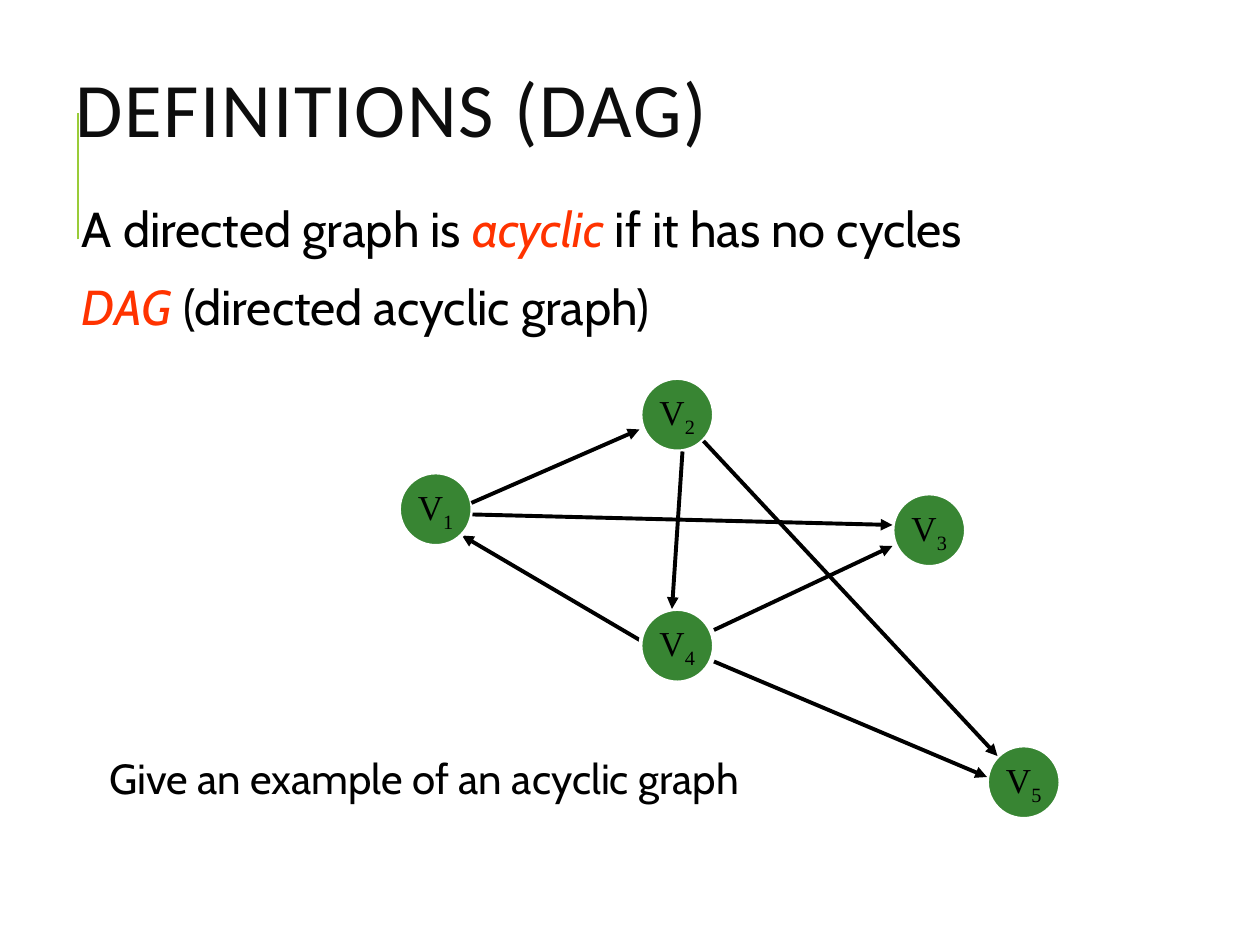
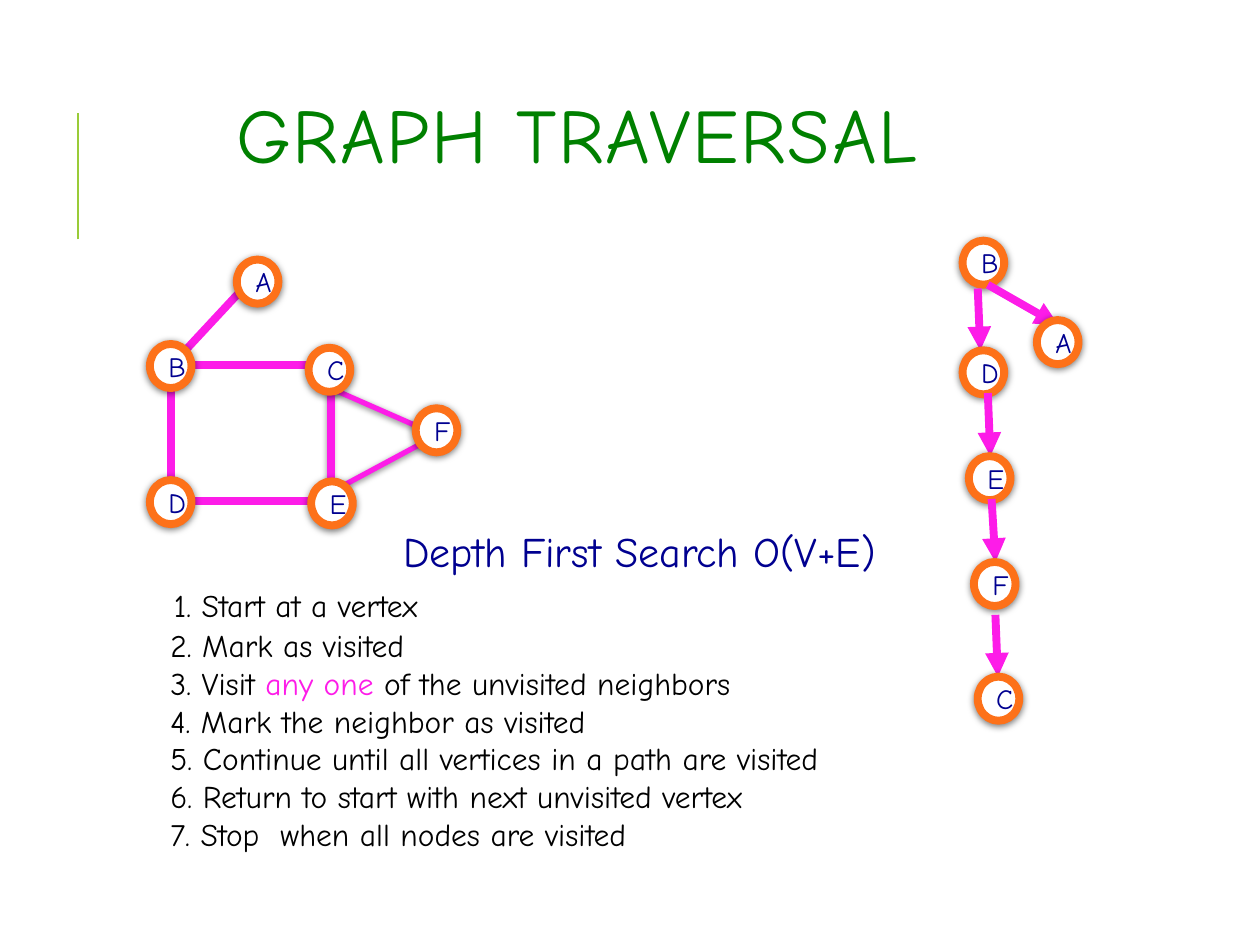
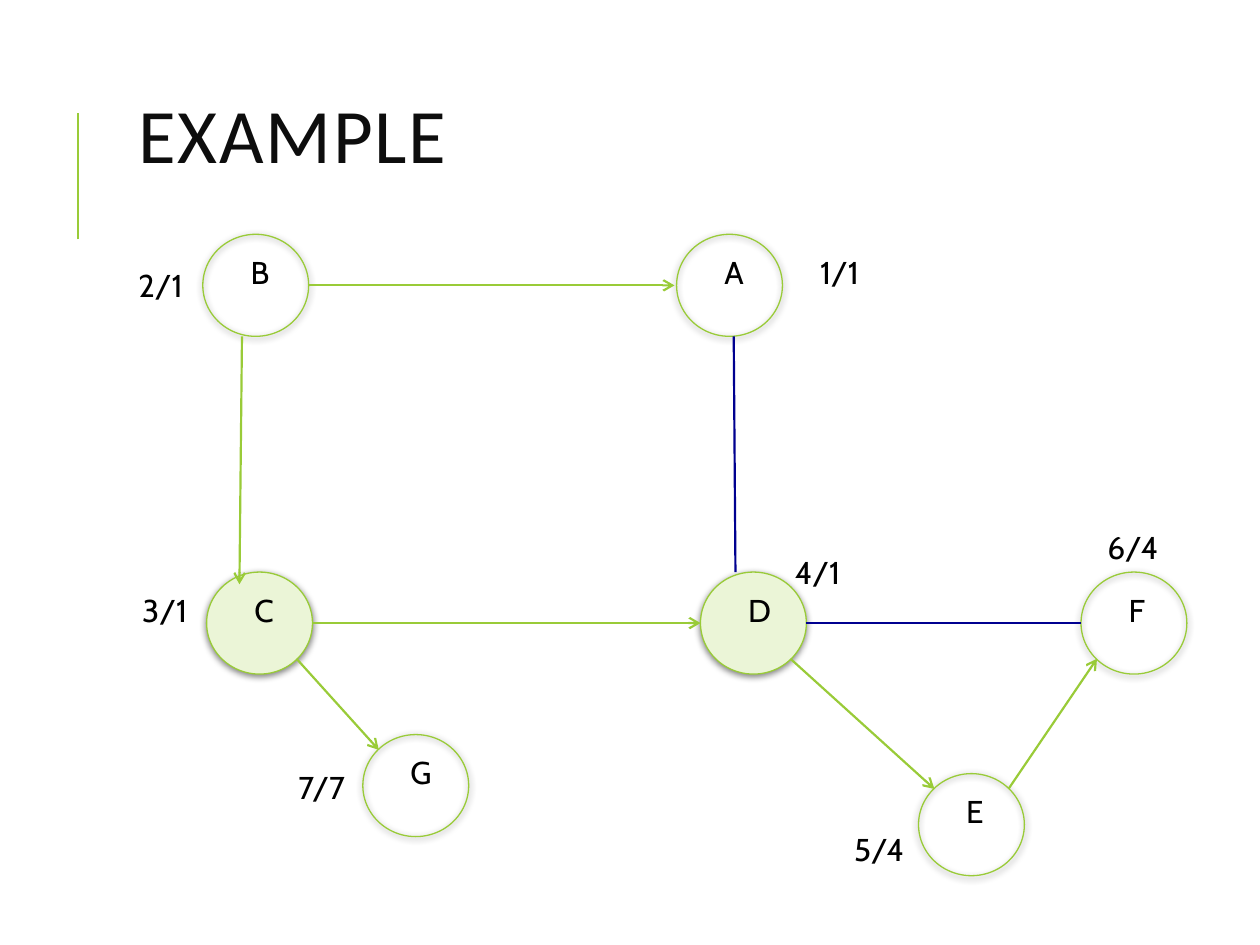
from lxml.etree import SubElement
from pptx import Presentation
from pptx.dml.color import RGBColor
from pptx.enum.shapes import MSO_CONNECTOR, MSO_SHAPE as Shape
from pptx.enum.text import MSO_ANCHOR as Anchor, PP_ALIGN as Align
from pptx.oxml.ns import qn
from pptx.util import Inches, Pt

COLORS = {
    "accent": "99CB38", "title": "0D0D0D", "black": "000000", "white": "FFFFFF",
    "red": "FF3300", "vertex": "388533", "heading": "008000", "navy": "000090",
    "pink": "FD1CE8", "orange": "FD7119", "visited": "EBF5D7",
}
SANS, HAND, SERIF, HEAD = "Cabin", "Comic Neue", "Times New Roman", "Calibri"

# Slide 1 content: vertices and edges in twelfths of an inch
TWELFTH = 1 / 12
KEY = {"color": "red", "italic": True}
DEFINITIONS = [
    ["A directed graph is ", ("acyclic", KEY), " if it has no cycles"],
    [("DAG", KEY), " (directed acyclic graph)"],
]
VERTICES = {"1": (38, 45), "2": (61, 36), "4": (61, 58), "3": (85, 47), "5": (94, 71)}
VERTEX_SIZE = 7
BACK_EDGE = ((61, 61), (44, 51))
EDGES = [
    ((44.9, 47.9), (60.9, 40.9)), ((45, 49), (85, 50)), ((65, 43), (64, 58)),
    ((68, 60), (85, 52)), ((67, 42), (95, 72)), ((68, 63), (94, 74)),
]

# Slide 2 content: left and top of each node, in inches
NODE_SIZE = (0.33, 0.35)
GRAPH = {"C": (2.45, 2.76), "B": (1.19, 2.73), "D": (1.19, 3.81),
         "E": (2.47, 3.82), "F": (3.3, 3.24), "A": (1.88, 2.06)}
TREE_ROOT = ("B", (7.64, 1.91))
# node, its place, start and end of the arrow that leads to it
TREE = [
    ("D", (7.64, 2.78), (7.76, 2.29), (7.78, 2.78)),
    ("E", (7.69, 3.62), (7.84, 3.12), (7.86, 3.62)),
    ("F", (7.73, 4.46), (7.87, 3.96), (7.9, 4.46)),
    ("C", (7.76, 5.37), (7.9, 4.88), (7.92, 5.37)),
    ("A", (8.23, 2.54), (7.84, 2.26), (8.4, 2.58)),
]
SEARCH = "Depth First Search O(V+E)"
STEPS = [
    [(" ", {"size": 24}), "1. Start at a vertex"],
    [" 2. Mark as visited"],
    [" 3. Visit ", ("any one ", {"color": "pink"}), "of the unvisited neighbors"],
    [" 4. Mark the neighbor as visited"],
    [" 5. Continue until all vertices in a path are visited"],
    [" 6. Return to start with next unvisited vertex"],
    [" 7. Stop  when all nodes are visited"],
]

# Slide 3 content: node place, fill, score, score place
CIRCLE = (0.84, 0.81)
CIRCLES = {
    "B": ((1.61, 1.86), None, "2/1", (1, 2.06)),
    "A": ((5.37, 1.86), None, "1/1", (6.41, 1.96)),
    "C": ((1.64, 4.54), "visited", "3/1", (1.03, 4.64)),
    "D": ((5.56, 4.54), "visited", "4/1", (6.21, 4.34)),
    "F": ((8.58, 4.54), None, "6/4", (8.69, 4.14)),
    "E": ((7.29, 6.14), None, "5/4", (6.68, 6.54)),
    "G": ((2.88, 5.83), None, "7/7", (2.27, 6.05)),
}
# Points on a circle, as shares of its width and height
LEFT, RIGHT = (0, 0.5), (1, 0.5)
TOP_LEFT, TOP_RIGHT = (0.15, 0.15), (0.85, 0.15)
LOW_LEFT, LOW_RIGHT = (0.15, 0.85), (0.85, 0.85)
LINKS = [
    ("B", RIGHT, "A", (-0.02, 0.5), True),
    ("B", (0.37, 1), "C", (0.31, 0.12), True),
    ("A", (0.54, 1), "D", (0.33, 0), False),
    ("C", RIGHT, "D", LEFT, True),
    ("C", LOW_RIGHT, "G", TOP_LEFT, True),
    ("D", RIGHT, "F", LEFT, False),
    ("D", LOW_RIGHT, "E", TOP_LEFT, True),
    ("E", TOP_RIGHT, "F", LOW_LEFT, True),
]


def rgb(name):
    return RGBColor.from_string(COLORS[name])


def write(shape, paras, size=18, font=SANS, color="black", align=Align.LEFT,
          anchor=Anchor.TOP, wrap=True, inset=None, line=None, before=0, after=0,
          tracking=None):
    """Fill a shape with paragraphs; a run is a string or (string, overrides)."""
    frame = shape.text_frame
    frame.word_wrap, frame.vertical_anchor = wrap, anchor
    if inset:
        (frame.margin_left, frame.margin_top,
         frame.margin_right, frame.margin_bottom) = map(Inches, inset)
    for index, runs in enumerate(paras):
        para = frame.paragraphs[0] if index == 0 else frame.add_paragraph()
        para.alignment = align
        para.space_before, para.space_after = Pt(before), Pt(after)
        if line:
            para.line_spacing = line
        for run in runs:
            text, own = (run, {}) if isinstance(run, str) else run
            span = para.add_run()
            span.text = text
            span.font.name = font
            span.font.size = Pt(own.get("size", size))
            span.font.color.rgb = rgb(own.get("color", color))
            span.font.italic = own.get("italic", False)
            props = span.font._element
            if tracking:
                props.set("spc", str(tracking))
            if "baseline" in own:
                props.set("baseline", str(own["baseline"]))


def add_text(page, at, paras, **style):
    box = page.shapes.add_textbox(*map(Inches, at))
    write(box, paras, **style)


def add_outline(page, kind, at, color, width, fill=None, shadow=False):
    shape = page.shapes.add_shape(kind, *map(Inches, at))
    shape.shadow.inherit = False
    if fill:
        shape.fill.solid()
        shape.fill.fore_color.rgb = rgb(fill)
    else:
        shape.fill.background()
    shape.line.color.rgb, shape.line.width = rgb(color), Pt(width)
    if shadow:
        effects = shape._element.spPr.find(qn("a:effectLst"))
        outer = SubElement(effects, qn("a:outerShdw"), blurRad=str(Pt(4)),
                           dist=str(Pt(1)), dir="5400000", rotWithShape="0")
        tint = SubElement(outer, qn("a:srgbClr"), val=COLORS["black"])
        SubElement(tint, qn("a:alpha"), val="50000")
    return shape


def add_line(page, start, end, color, width, head=None):
    line = page.shapes.add_connector(MSO_CONNECTOR.STRAIGHT, *map(Inches, start + end))
    line.line.color.rgb, line.line.width = rgb(color), Pt(width)
    props = line._element.spPr
    if head:
        SubElement(props.find(qn("a:ln")), qn("a:tailEnd"), type=head)
    SubElement(props, qn("a:effectLst"))


def add_page(deck, title, at, **style):
    """Blank slide with the accent rule and a title."""
    page = deck.slides.add_slide(deck.slide_layouts[6])
    add_line(page, (0.62, 1.9), (0.62, 0.9), "accent", 1.5)
    look = {"font": HEAD, "color": "title", **style}
    add_text(page, at, [[title]], size=44, line=0.8, tracking=100,
             anchor=Anchor.MIDDLE, **look)
    return page


def scaled(point):
    return tuple(value * TWELFTH for value in point)


def build_definitions(deck):
    page = add_page(deck, "DEFINITIONS (DAG)", (0.5, 0.5, 9, 0.83))
    add_text(page, (0.5, 1.58, 9.08, 4.83), DEFINITIONS, size=28, line=0.9,
             before=12, after=2, inset=(0.15, 0.05, 0.05, 0.05))

    def add_edge(start, end):
        add_line(page, scaled(start), scaled(end), "black", 2.25, "triangle")

    add_edge(*BACK_EDGE)
    for number, place in VERTICES.items():
        vertex = add_outline(page, Shape.OVAL, scaled(place + (VERTEX_SIZE,) * 2),
                             "white", 2.25, fill="vertex")
        write(vertex, [["V", (number, {"baseline": -25000})]], size=20, font=SERIF,
              align=Align.CENTER, anchor=Anchor.MIDDLE, wrap=False)
    for edge in EDGES:
        add_edge(*edge)
    add_text(page, (0.77, 5.92, 5.67, 0.5), [["Give an example of an acyclic graph"]],
             size=24)


def add_node(page, letter, place):
    node = add_outline(page, Shape.OVAL, place + NODE_SIZE, "orange", 4.5,
                       fill="white", shadow=True)
    write(node, [[letter]], size=16, font=HAND, color="navy",
          align=Align.CENTER, anchor=Anchor.MIDDLE)


def build_traversal(deck):
    page = add_page(deck, "GRAPH TRAVERSAL", (0.74, 0.5, 7.68, 1.25),
                    font=HAND, color="heading", align=Align.CENTER)
    # Graph: one edge, a triangle and a square below the nodes
    add_line(page, (1.36, 2.9), (1.9, 2.32), "pink", 4.5)
    triangle = add_outline(page, Shape.ISOSCELES_TRIANGLE, (2.63, 3.07, 0.83, 0.85),
                           "pink", 3, shadow=True)
    triangle.rotation = 90
    triangle.adjustments[0] = 0.45
    add_outline(page, Shape.RECTANGLE, (1.36, 2.9, 1.27, 1.08), "pink", 4.5)
    for letter, place in GRAPH.items():
        add_node(page, letter, place)
    # Search tree
    add_node(page, *TREE_ROOT)
    for letter, place, start, end in TREE:
        add_line(page, start, end, "pink", 4.5, "triangle")
        add_node(page, letter, place)
    # Heading and steps share one box
    box = page.shapes.add_textbox(*map(Inches, (1.17, 4.12, 7.81, 3.1)))
    heading = [(SEARCH, {"size": 24, "color": "navy"})]
    write(box, [heading] + STEPS, font=HAND)
    box.text_frame.paragraphs[0].alignment = Align.CENTER


def build_example(deck):
    page = add_page(deck, "EXAMPLE", (1, 0.5, 7.68, 1.25))
    for letter, ((left, top), fill, _, _) in CIRCLES.items():
        add_outline(page, Shape.OVAL, (left, top) + CIRCLE, "accent", 0.75,
                    fill=fill, shadow=True)
        add_text(page, (left + 0.28, top + 0.1, 0.34, 0.71), [[letter]])

    def point_on(letter, share):
        return tuple(start + part * size for start, part, size
                     in zip(CIRCLES[letter][0], share, CIRCLE))

    for origin, leave, target, arrive, directed in LINKS:
        add_line(page, point_on(origin, leave), point_on(target, arrive),
                 "accent" if directed else "navy", 1.25, "arrow" if directed else None)
    for _, _, score, place in CIRCLES.values():
        add_text(page, place + (0.61, 0.4), [[score]])


def main():
    deck = Presentation()
    deck.slide_width, deck.slide_height = Inches(10), Inches(7.5)
    build_definitions(deck)
    build_traversal(deck)
    build_example(deck)
    deck.save("out.pptx")


if __name__ == "__main__":
    main()
